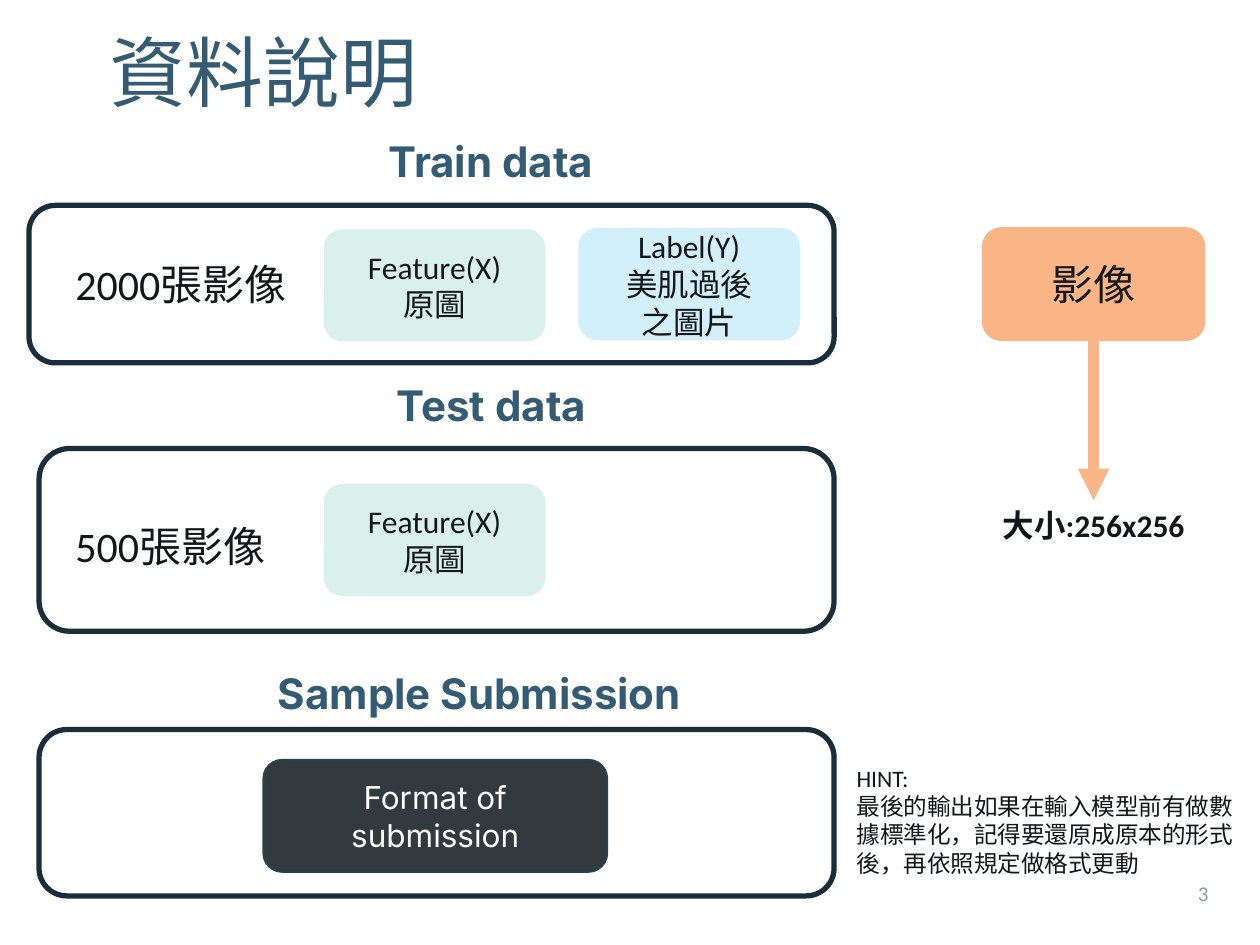
from lxml import etree
from pptx import Presentation
from pptx.dml.color import RGBColor
from pptx.enum import shapes, text
from pptx.oxml.ns import qn
from pptx.util import Inches, Pt

COLORS = {
    "heading": "335B74",
    "frame": "1A2D3A",
    "ink": "141719",
    "feature": "D9F1EA",
    "label": "D2EFFA",
    "image": "FAB586",
    "format": "333A3E",
    "format_line": "264356",
    "white": "FFFFFF",
    "number": "909BA6",
}
LEFT, CENTER, RIGHT = text.PP_ALIGN.LEFT, text.PP_ALIGN.CENTER, text.PP_ALIGN.RIGHT
TOP, MIDDLE = text.MSO_ANCHOR.TOP, text.MSO_ANCHOR.MIDDLE

BODY = {"name": "Calibri", "size": Pt(18), "bold": False}
COUNT = {**BODY, "size": Pt(24)}
HEADING = {"name": "Inter", "size": Pt(24), "bold": True}


def color(name):
    return RGBColor.from_string(COLORS[name])


def write(sp, lines, font, ink="ink", align=CENTER, anchor=MIDDLE, spacing=None):
    """Fill a shape with one paragraph per line, all in one format."""
    tf = sp.text_frame
    tf.word_wrap = True
    tf.vertical_anchor = anchor
    for i, line in enumerate(lines):
        p = tf.paragraphs[0] if i == 0 else tf.add_paragraph()
        p.alignment = align
        if spacing:
            p.line_spacing = spacing
        r = p.add_run()
        r.text = line
        for key, value in font.items():
            setattr(r.font, key, value)
        r.font.color.rgb = color(ink)


def add_text(parent, box, lines, font, **layout):
    sp = parent.shapes.add_textbox(*map(Inches, box))
    write(sp, lines, font, **layout)


def add_box(parent, box, fill=None, line=None, width=1):
    """Add a rounded rectangle; no fill or line unless a colour is named."""
    sp = parent.shapes.add_shape(shapes.MSO_SHAPE.ROUNDED_RECTANGLE, *map(Inches, box))
    sp.shadow.inherit = False
    if fill:
        sp.fill.solid()
        sp.fill.fore_color.rgb = color(fill)
    else:
        sp.fill.background()
    if line:
        sp.line.color.rgb = color(line)
        sp.line.width = Pt(width)
    else:
        sp.line.fill.background()
    return sp


def add_section(s, title, title_box, frame_box):
    """Group a heading with the outlined frame below it."""
    group = s.shapes.add_group_shape()
    add_text(group, title_box, [title], HEADING, ink="heading", anchor=TOP)
    add_box(group, frame_box, line="frame", width=3)
    return group


def add_arrow(s, start, end, line, width):
    c = s.shapes.add_connector(shapes.MSO_CONNECTOR.STRAIGHT, *map(Inches, start + end))
    c.line.color.rgb = color(line)
    c.line.width = Pt(width)
    etree.SubElement(c.line._get_or_add_ln(), qn("a:tailEnd"), type="triangle")
    etree.SubElement(c._element.spPr, qn("a:effectLst"))


def main():
    prs = Presentation()
    prs.slide_width, prs.slide_height = Inches(10), Inches(7.5)
    s = prs.slides.add_slide(prs.slide_layouts[6])

    add_text(s, (0.77, -0.02, 8.73, 1.25), ["資料說明"], {**BODY, "size": Pt(44)},
             ink="heading", align=LEFT, spacing=0.9)
    add_text(s, (7.44, 6.89, 2.25, 0.4), ["3"], {**BODY, "size": Pt(12)},
             ink="number", align=RIGHT)

    add_section(s, "Train data", (2.24, 1.03, 3.31, 0.5), (0.23, 1.63, 6.39, 1.25))
    add_section(s, "Test data", (0.5, 2.96, 6.8, 0.5), (0.31, 3.56, 6.31, 1.45))
    submission = add_section(s, "Sample Submission", (2, 5.25, 3.61, 0.5),
                             (0.31, 5.79, 6.31, 1.32))
    sp = add_box(submission, (2.09, 6.03, 2.73, 0.89), "format", "format_line")
    write(sp, ["Format of submission"], {**BODY, "name": "Inter"}, ink="white")

    for top, count in ((2, "2000張影像"), (4.08, "500張影像")):
        add_text(s, (0.5, top, 2.07, 0.5), [count], COUNT, align=LEFT, anchor=TOP)

    feature = ["Feature(X)", "原圖"]
    for left, top, fill, lines in (
        (2.57, 1.82, "feature", feature),
        (4.59, 1.81, "label", ["Label(Y)", "美肌過後", "之圖片"]),
        (2.57, 3.84, "feature", feature),
    ):
        write(add_box(s, (left, top, 1.76, 0.89), fill), lines, BODY)

    write(add_box(s, (7.8, 1.81, 1.76, 0.89), "image", "image"), ["影像"], COUNT)
    add_arrow(s, (8.68, 2.7), (8.68, 3.97), "image", 6)
    add_text(s, (7.48, 3.97, 2.4, 0.4), ["大小:256x256"], {**BODY, "bold": True}, anchor=TOP)

    hint = ["HINT:", "最後的輸出如果在輸入模型前有做數據標準化，記得要還原成原本的形式後，再依照規定做格式更動"]
    add_text(s, (6.7, 6.01, 3.3, 1.01), hint, {**BODY, "size": Pt(13.5)},
             align=LEFT, anchor=TOP)

    prs.save("out.pptx")


if __name__ == "__main__":
    main()
